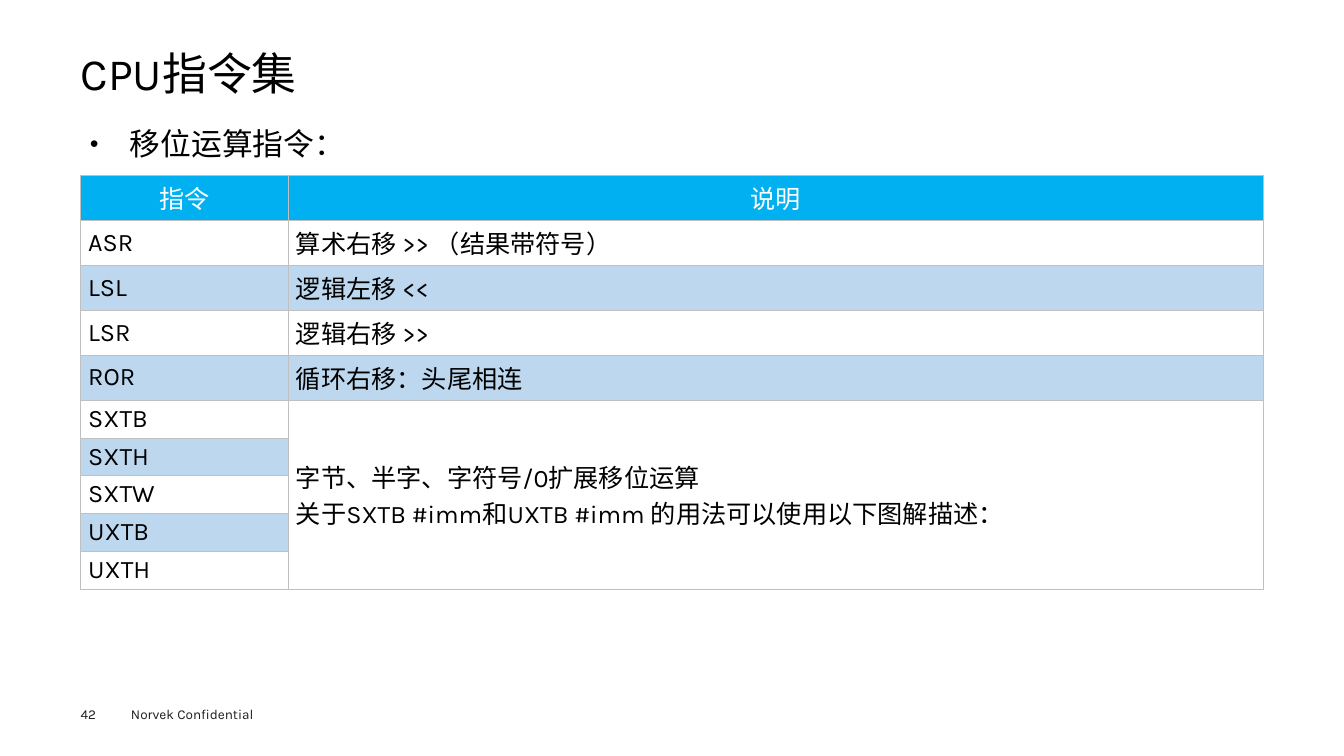
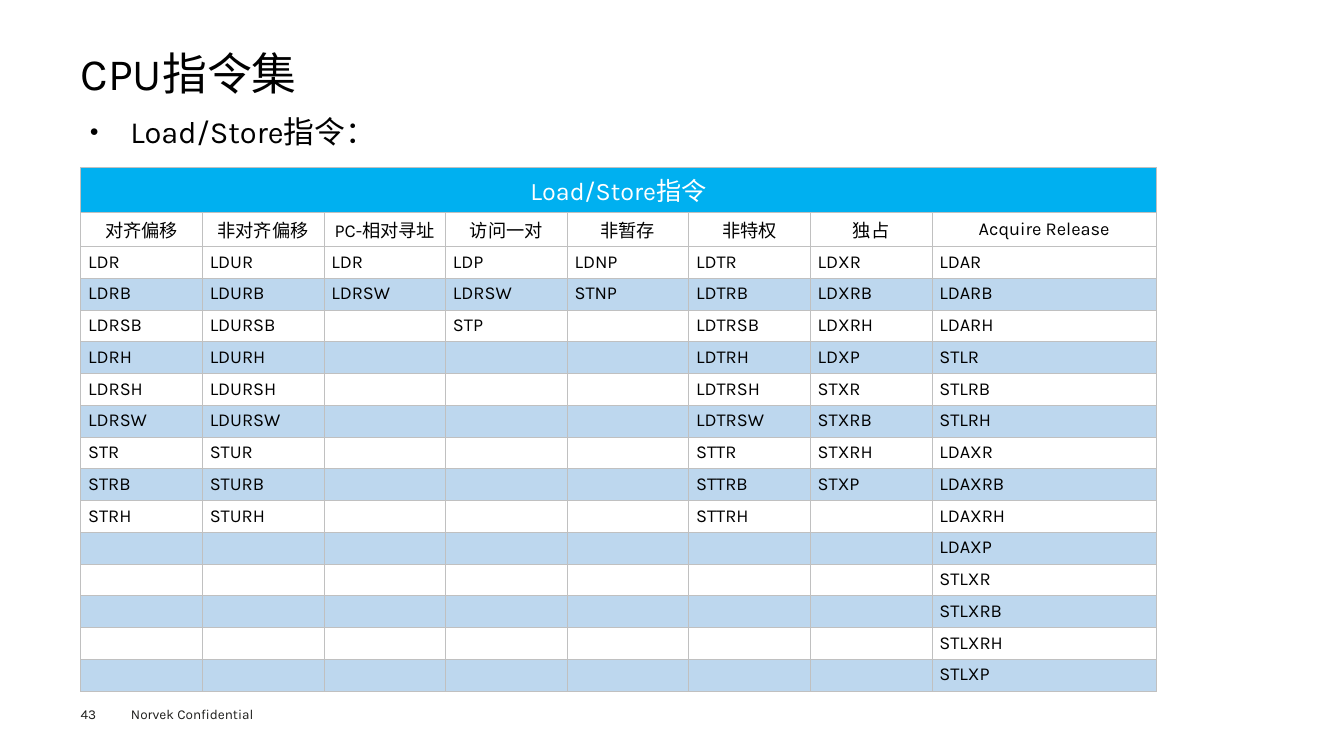
from itertools import zip_longest

from lxml import etree
from pptx import Presentation
from pptx.dml.color import RGBColor
from pptx.enum import text as t
from pptx.oxml import ns
from pptx.util import Pt

HUES = {"ink": "000000", "foot": "1D1D1B", "head": "00B0F0",
        "band": "BDD7EE", "rule": "C0C0C0", "page": "FFFFFF"}
FACE = "Karla"
LEFT, WIDE = 57.6, 844.8
SIDES = ("margin_left", "margin_top", "margin_right", "margin_bottom")
TITLE = "CPU指令集"
FOOT = "Norvek Confidential"

SHIFT = [
    ["指令", "说明"],
    ["ASR", "算术右移 >> （结果带符号）"],
    ["LSL", "逻辑左移 <<"],
    ["LSR", "逻辑右移 >>"],
    ["ROR", "循环右移：头尾相连"],
    ["SXTB", "字节、半字、字符号/0扩展移位运算\n"
             "关于SXTB #imm和UXTB #imm 的用法可以使用以下图解描述："],
    ["SXTH", ""], ["SXTW", ""], ["UXTB", ""], ["UXTH", ""],
]
LOADS = {
    "对齐偏移": "LDR LDRB LDRSB LDRH LDRSH LDRSW STR STRB STRH",
    "非对齐偏移": "LDUR LDURB LDURSB LDURH LDURSH LDURSW STUR STURB STURH",
    "PC-相对寻址": "LDR LDRSW",
    "访问一对": "LDP LDRSW STP",
    "非暂存": "LDNP STNP",
    "非特权": "LDTR LDTRB LDTRSB LDTRH LDTRSH LDTRSW STTR STTRB STTRH",
    "独占": "LDXR LDXRB LDXRH LDXP STXR STXRB STXRH STXP",
    "Acquire Release": "LDAR LDARB LDARH STLR STLRB STLRH LDAXR LDAXRB "
                       "LDAXRH LDAXP STLXR STLXRB STLXRH STLXP",
}


def put(item, vals):
    """Set every attribute named in a dict of format values."""
    for name, val in vals.items():
        setattr(item, name, val)


def hue(key):
    """Return a named colour."""
    return RGBColor.from_string(HUES[key])


def write(frame, words, size, ink="ink", **form):
    """Fill a text frame and format its paragraphs and runs."""
    frame.text = words
    for para in frame.paragraphs:
        put(para, form)
        for run in para.runs:
            put(run.font, {"size": Pt(size), "name": FACE, "bold": False})
            run.font.color.rgb = hue(ink)


def place(shape, box):
    """Move a shape to a box given in points."""
    put(shape, dict(zip(("left", "top", "width", "height"), map(Pt, box))))


def frame_up(frame, pads, anchor):
    """Set the insets, wrapping and anchor of a text frame."""
    put(frame, dict(zip(SIDES, map(Pt, pads))))
    put(frame, {"word_wrap": True, "vertical_anchor": anchor,
                "auto_size": t.MSO_AUTO_SIZE.NONE})


def title(slide, box):
    """Place the slide title."""
    shape = slide.shapes.title
    place(shape, box)
    frame_up(shape.text_frame, (0, 0, 0, 0), t.MSO_ANCHOR.MIDDLE)
    write(shape.text_frame, TITLE, 32, alignment=t.PP_ALIGN.LEFT,
          line_spacing=0.9)


def lead(slide, words, box):
    """Place the bulleted lead line."""
    shape = slide.placeholders[1]
    place(shape, box)
    frame = shape.text_frame
    frame_up(frame, (6.5, 2.9, 6.5, 2.9), t.MSO_ANCHOR.TOP)
    write(frame, words, 22, alignment=t.PP_ALIGN.JUSTIFY,
          line_spacing=Pt(30), space_before=Pt(0))
    props = frame.paragraphs[0]._p.get_or_add_pPr()
    props.set("marL", str(Pt(23.8)))
    props.set("indent", str(Pt(-23.8)))
    for tag, key, val in (("a:buSzPct", "val", "50000"),
                          ("a:buChar", "char", "●")):
        etree.SubElement(props, ns.qn(tag)).set(key, val)


def footer(slide, page, box):
    """Place the page number and the footer text."""
    x, y, w, h = box
    parts = ((str(page), (x, y, 28, h)), (FOOT, (x + 36, y, w - 36, h)))
    for words, spot in parts:
        shape = slide.shapes.add_textbox(*map(Pt, spot))
        frame_up(shape.text_frame, (0, 0, 0, 0), t.MSO_ANCHOR.MIDDLE)
        write(shape.text_frame, words, 9.7, "foot")


def edge(cell):
    """Draw thin lines on all four sides of a cell."""
    props = cell._tc.get_or_add_tcPr()
    for side in "LRTB":
        line = etree.SubElement(props, ns.qn("a:ln" + side), w=str(Pt(0.38)))
        fill = etree.SubElement(line, ns.qn("a:solidFill"))
        etree.SubElement(fill, ns.qn("a:srgbClr"), val=HUES["rule"])


def style(cell, words, size, head, mid, band):
    """Format one table cell."""
    put(cell, dict(zip(SIDES, map(Pt, (5.4, 2.7, 5.4, 2.7)))))
    cell.vertical_anchor = t.MSO_ANCHOR.MIDDLE
    write(cell.text_frame, words, size, "page" if head else "ink",
          alignment=t.PP_ALIGN.CENTER if mid else t.PP_ALIGN.LEFT)
    if not words:
        end = cell.text_frame.paragraphs[0]._p.get_or_add_endParaRPr()
        end.set("sz", str(size * 100))
    edge(cell)
    if head or band:
        cell.fill.solid()
        cell.fill.fore_color.rgb = hue("head" if head else "band")
    else:
        cell.fill.background()


def grid(slide, rows, spot, cols, highs, span, heads=1, size=18):
    """Place a banded table with one merged block."""
    box = (*spot, sum(cols), sum(highs))
    shape = slide.shapes.add_table(len(rows), len(cols), *map(Pt, box))
    table = shape.table
    put(table, {"first_row": False, "horz_banding": False})
    for col, wide in zip(table.columns, cols):
        col.width = Pt(wide)
    for row, high in zip(table.rows, highs):
        row.height = Pt(high)
    start, stop = span
    table.cell(*start).merge(table.cell(*stop))
    for i, row in enumerate(rows):
        for j, words in enumerate(row):
            cell = table.cell(i, j)
            band = i > heads and (i - heads) % 2 and not cell.is_spanned
            style(cell, words, 18 if i == 0 else size, i == 0, i < heads, band)


def page(deck, num, words, top):
    """Add a slide with the shared title, lead line and footer."""
    slide = deck.slides.add_slide(deck.slide_layouts[1])
    title(slide, (LEFT, 35.3, WIDE, 38.2))
    lead(slide, words, (LEFT, top, WIDE, 384.5))
    footer(slide, num, (LEFT, 504, 150, 12))
    return slide


def shifts(deck):
    """Build the slide on shift instructions."""
    slide = page(deck, 42, " 移位运算指令：", 82.8)
    rows = [row[:] for row in SHIFT]
    grid(slide, rows, (LEFT, 125.3), (148.4, 696.4),
         [32.1] * 5 + [27] * 5, ((5, 1), (9, 1)), heads=1)


def loads(deck):
    """Build the slide on load and store instructions."""
    slide = page(deck, 43, " Load/Store指令：", 74.2)
    names = [col.split() for col in LOADS.values()]
    blank = [""] * (len(LOADS) - 1)
    rows = [["Load/Store指令", *blank], list(LOADS),
            *zip_longest(*names, fillvalue="")]
    grid(slide, rows, (LEFT, 119.5), [86.88] * 7 + [160.4],
         [32.1, 24.3] + [22.68] * 14, ((0, 0), (0, 7)), heads=2, size=13)


def main():
    """Build and save the deck."""
    deck = Presentation()
    put(deck, {"slide_width": Pt(960), "slide_height": Pt(540)})
    shifts(deck)
    loads(deck)
    deck.save("out.pptx")


if __name__ == "__main__":
    main()
